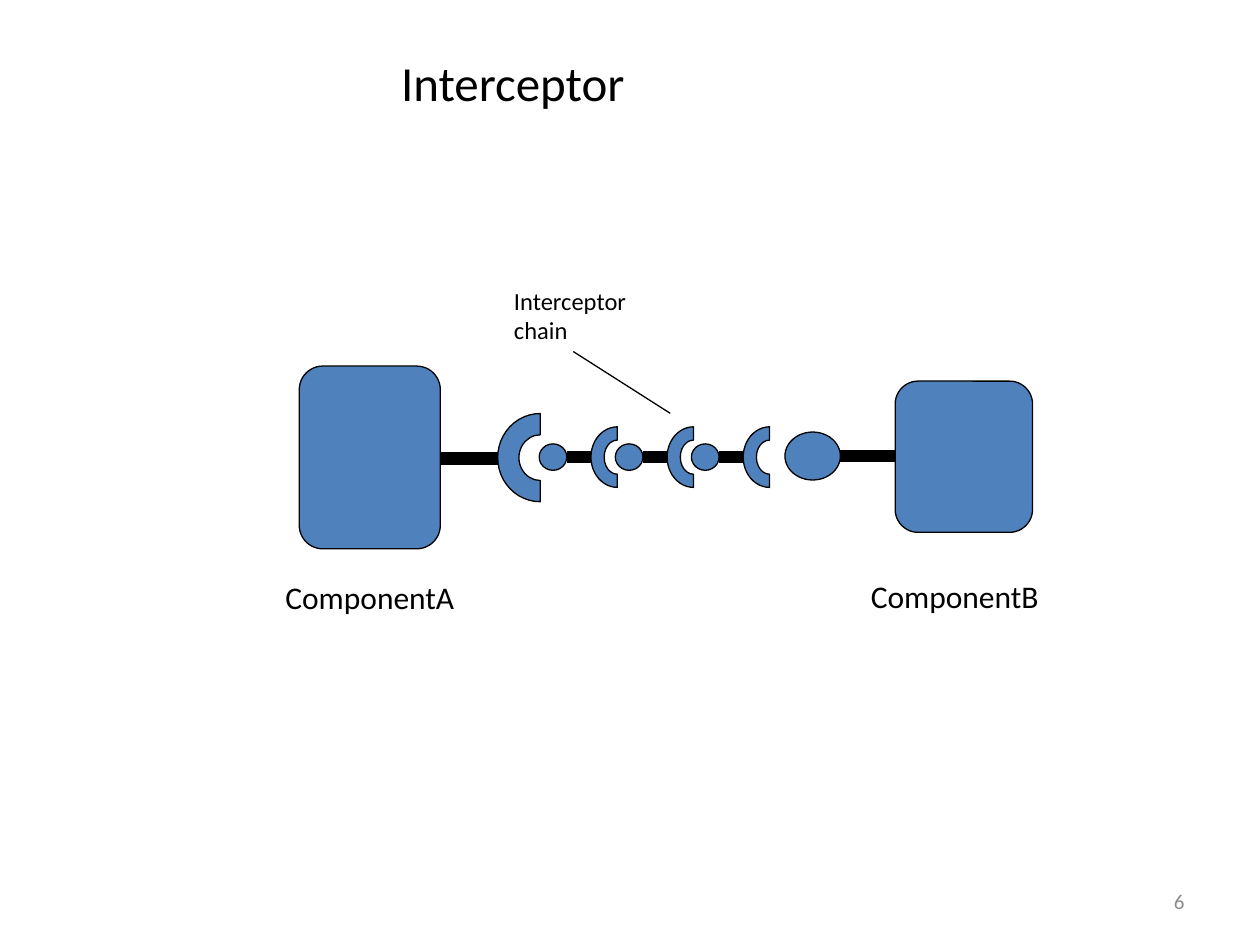
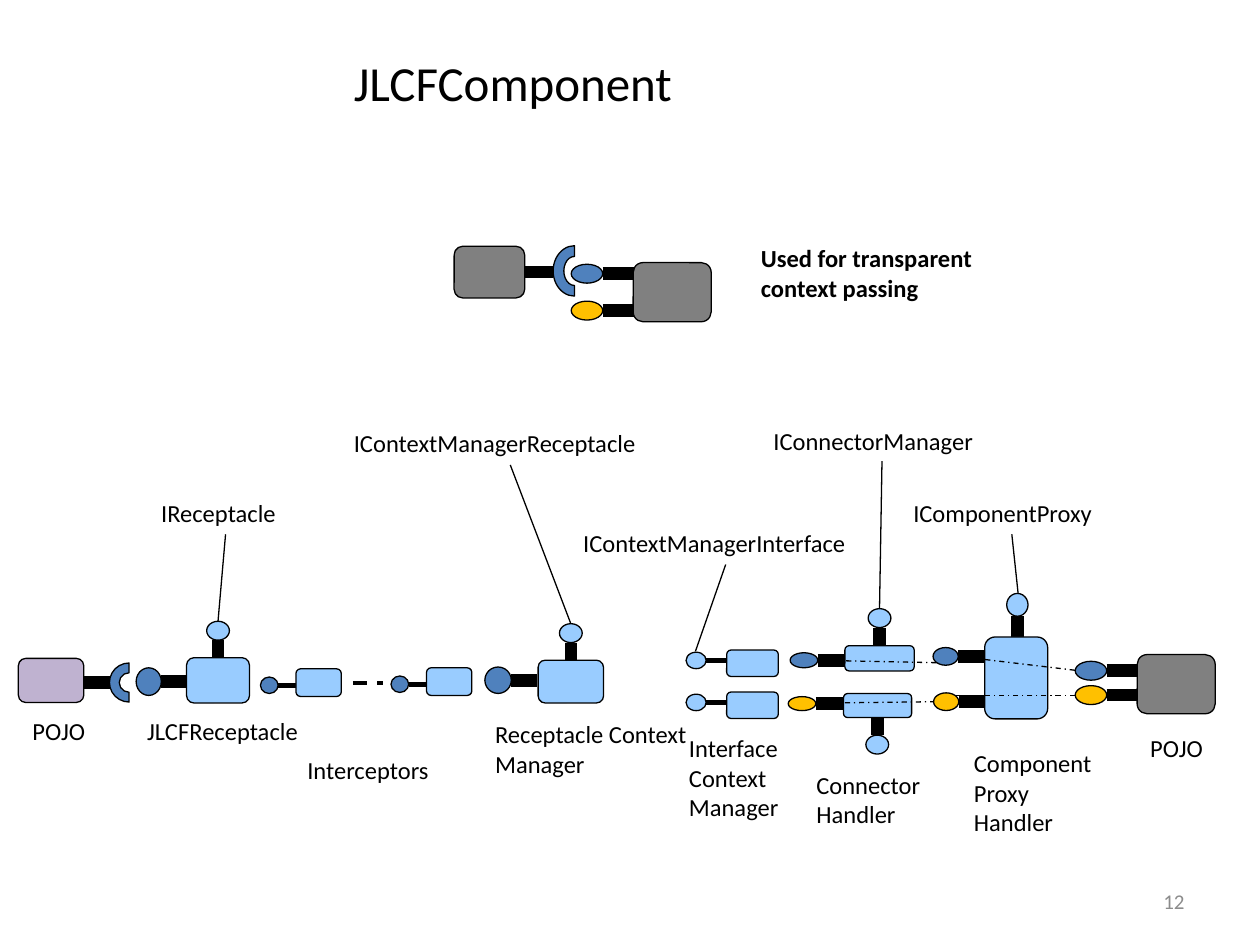
from dataclasses import dataclass

from lxml.etree import SubElement
from pptx import Presentation
from pptx.dml.color import RGBColor
from pptx.enum.dml import MSO_LINE
from pptx.enum.shapes import MSO_CONNECTOR, MSO_SHAPE
from pptx.enum.text import MSO_ANCHOR, PP_ALIGN
from pptx.oxml.ns import qn
from pptx.slide import Slide
from pptx.util import Pt

COLOURS = {
    "black": "000000",
    "blue": "4F81BD",
    "sky": "99CCFF",
    "grey": "808080",
    "lilac": "BFB2D0",
    "amber": "FFC000",
    "number": "8C8C8C",
}
FONT = "Calibri"
OUTLINE = 0.74
ROD = 7.2
THIN = 0.75


@dataclass(frozen=True)
class Box:
    x: float
    y: float
    width: float
    height: float
    colour: str = "sky"


@dataclass(frozen=True)
class Plug:
    x: float
    y: float
    width: float
    height: float
    rod: float
    colour: str = "blue"
    weight: float = ROD
    upright: bool = False


@dataclass(frozen=True)
class Cup:
    left: float
    y: float
    depth: float
    height: float


@dataclass(frozen=True)
class Link:
    x1: float
    y1: float
    x2: float
    y2: float
    weight: float = THIN
    dash: MSO_LINE | None = None


@dataclass(frozen=True)
class Label:
    left: float
    top: float
    width: float
    text: str
    size: float = 14
    bold: bool = False
    colour: str = "black"
    align: PP_ALIGN = PP_ALIGN.LEFT


def rgb(name: str) -> RGBColor:
    return RGBColor.from_string(COLOURS[name])


def write(frame, label: Label) -> None:
    for index, content in enumerate(label.text.split("\n")):
        paragraph = frame.paragraphs[0] if index == 0 else frame.add_paragraph()
        paragraph.alignment = label.align
        for row, words in enumerate(content.split("\v")):
            if row:
                paragraph.add_line_break()
            run = paragraph.add_run()
            run.text = words
            run.font.name = FONT
            run.font.size = Pt(label.size)
            run.font.bold = label.bold
            run.font.color.rgb = rgb(label.colour)


def draw_label(slide: Slide, label: Label) -> None:
    rows = 1 + label.text.count("\n") + label.text.count("\v")
    height = rows * label.size * 1.2 + 7.2
    frame = slide.shapes.add_textbox(
        Pt(label.left), Pt(label.top), Pt(label.width), Pt(height)
    ).text_frame
    frame.word_wrap = True
    write(frame, label)


def draw_outline(slide: Slide, kind: MSO_SHAPE, box: Box):
    shape = slide.shapes.add_shape(
        kind,
        Pt(box.x - box.width / 2),
        Pt(box.y - box.height / 2),
        Pt(box.width),
        Pt(box.height),
    )
    shape.shadow.inherit = False
    shape.fill.solid()
    shape.fill.fore_color.rgb = rgb(box.colour)
    shape.line.color.rgb = rgb("black")
    shape.line.width = Pt(OUTLINE)
    return shape


def draw_link(slide: Slide, link: Link) -> None:
    connector = slide.shapes.add_connector(
        MSO_CONNECTOR.STRAIGHT, Pt(link.x1), Pt(link.y1), Pt(link.x2), Pt(link.y2)
    )
    connector.line.color.rgb = rgb("black")
    connector.line.width = Pt(link.weight)
    if link.dash is not None:
        connector.line.dash_style = link.dash
    SubElement(connector._element.spPr, qn("a:effectLst"))


def draw_plug(slide: Slide, plug: Plug) -> None:
    direction = 1 if plug.rod > 0 else -1
    if plug.upright:
        edge = plug.y + direction * plug.height / 2
        rod = Link(plug.x, edge, plug.x, edge + plug.rod, plug.weight)
    else:
        edge = plug.x + direction * plug.width / 2
        rod = Link(edge, plug.y, edge + plug.rod, plug.y, plug.weight)
    draw_link(slide, rod)
    ball = Box(plug.x, plug.y, plug.width, plug.height, plug.colour)
    draw_outline(slide, MSO_SHAPE.OVAL, ball)


def draw_cup(slide: Slide, cup: Cup) -> None:
    ring = Box(cup.left + cup.depth, cup.y, cup.height, 2 * cup.depth, "blue")
    draw_outline(slide, MSO_SHAPE.BLOCK_ARC, ring).rotation = 270


def draw(slide: Slide, parts: list) -> None:
    for part in parts:
        match part:
            case Box():
                draw_outline(slide, MSO_SHAPE.ROUNDED_RECTANGLE, part)
            case Plug():
                draw_plug(slide, part)
            case Cup():
                draw_cup(slide, part)
            case Link():
                draw_link(slide, part)
            case Label():
                draw_label(slide, part)


def start_slide(deck, heading: str, number: str) -> Slide:
    slide = deck.slides.add_slide(deck.slide_layouts[5])
    title = slide.shapes.title
    title.left, title.top, title.width, title.height = Pt(49), Pt(9.4), Pt(488), Pt(75)
    title.text_frame.vertical_anchor = MSO_ANCHOR.MIDDLE
    write(title.text_frame, Label(0, 0, 0, heading, 28, align=PP_ALIGN.CENTER))
    draw_label(
        slide,
        Label(516, 504, 168, number, 12, colour="number", align=PP_ALIGN.RIGHT),
    )
    return slide


def interceptor_chain() -> list:
    parts = []
    for place in range(3):
        shift = place * 43.5
        parts += [
            Plug(316 + shift, 261.2, 15.8, 15.1, 15.5),
            Cup(337.7 + shift, 261.2, 15.1, 34.6),
        ]
    return parts


def interceptor(x: float, y: float) -> list:
    return [
        Plug(x, y, 10.1, 9.4, 10.4, weight=3),
        Box(x + 28.2, y - 1.5, 25.9, 15.8),
    ]


def context_manager(y: float) -> list:
    return [
        Plug(397.8, y, 11.5, 9.4, 11.5, "sky", 2.75),
        Box(430, y + 1.6, 29.5, 15.1),
    ]


def provider(x: float, y: float, blue_y: float, amber_y: float) -> list:
    return [
        Plug(x - 48.7, amber_y, 18, 10.8, 18, "amber"),
        Plug(x - 48.7, blue_y, 18, 10.8, 18),
        Box(x, y, 44.6, 33.8, "grey"),
    ]


def control(x: float, y: float, rod: float = 10.1) -> Plug:
    return Plug(x, y, 13, 10.8, rod, "sky", upright=True)


deck = Presentation()
deck.slide_width, deck.slide_height = Pt(720), Pt(540)

draw(
    start_slide(deck, "Interceptor", "6"),
    [
        Plug(464.4, 260.6, 31.7, 27.4, 31),
        Box(550.8, 261, 78.5, 86.4, "blue"),
        Link(252, 262.1, 284.4, 262.1, ROD),
        Box(211.3, 261.4, 80.6, 104.4, "blue"),
        Cup(284.4, 261.5, 24.3, 50.4),
        *interceptor_chain(),
        Link(383, 236.2, 327.6, 200.9),
        Label(156, 326.9, 120, "ComponentA", 18),
        Label(490.5, 326.2, 120, "ComponentB", 18),
        Label(286.6, 159.8, 82, "Interceptor\nchain"),
    ],
)

usage = [
    Link(300.2, 155.5, 316.1, 155.5, ROD),
    Box(279.7, 155.5, 40.3, 29.5, "grey"),
    Cup(316.1, 154.8, 12.2, 28.8),
    *provider(384.1, 167, 156.4, 177.5),
    Label(427.7, 135.4, 153.4, "Used for transparent\vcontext passing", bold=True),
]
receptacle_side = [
    Link(47.5, 390, 62.6, 390, ROD),
    Box(29.2, 388.8, 37.4, 25.2, "lilac"),
    Cup(62.6, 390, 11.2, 22.3),
    Plug(85, 389.5, 14.4, 15.8, 14.4),
    control(124.6, 360.4),
    Box(124.6, 388.8, 36, 25.9),
    *interceptor(153.9, 391.6),
    Link(201.6, 390.2, 218.9, 390.2, 2, MSO_LINE.DASH),
    *interceptor(228.5, 391),
    Plug(284.6, 388.7, 15.1, 15.1, 14.6),
    control(326.2, 361.8),
    Box(326.2, 389.5, 37.4, 24.5),
]
interface_side = [
    *context_manager(377.4),
    *context_manager(401.4),
    Plug(459.4, 377.3, 15.8, 8.6, 15.8),
    control(502.6, 353.2),
    Box(502.6, 376.2, 39.6, 14.4),
    Plug(458.3, 402.1, 15.8, 8, 15.5, "amber"),
    control(501.3, 425.5, -10.1),
    Box(501.5, 403.2, 38.9, 13.7),
    Plug(540.4, 375.1, 14.4, 10.1, 14.6),
    Plug(540.7, 401, 14.4, 10.1, 14.4, "amber"),
    Plug(581.4, 345.6, 12.2, 13, 12.2, "sky", upright=True),
    Box(580.7, 387.4, 36, 46.8),
    *provider(672.1, 391, 383.3, 397.2),
]
passages = [
    Link(x1, y1, x2, y2, THIN, MSO_LINE.DASH_DOT)
    for x1, y1, x2, y2 in (
        (614.2, 397.4, 545.8, 397.4),
        (614.2, 383, 547.9, 375.1),
        (467.3, 377.3, 535, 378.7),
        (466.6, 401.8, 533.5, 401),
    )
]
callouts = [
    Link(124.6, 355, 128.9, 305.3),
    Link(326.2, 356.4, 291.6, 265.7),
    Link(397.4, 372.2, 414.7, 322.6),
    Link(502.6, 347.8, 504, 263.5),
    Link(581.8, 339.1, 578.2, 305.3),
    Label(85, 280.8, 89.3, "IReceptacle"),
    Label(195.1, 241.2, 193, "IContextManagerReceptacle"),
    Label(326.2, 298.1, 177.1, "IContextManagerInterface"),
    Label(434.9, 239.8, 139, "IConnectorManager"),
    Label(514.8, 280.8, 127.4, "IComponentProxy"),
]
names = [
    Label(11.5, 405.4, 53.3, "POJO"),
    Label(77, 405.4, 128.2, "JLCFReceptacle"),
    Label(168.5, 427.7, 128.2, "Interceptors"),
    Label(275.8, 407.5, 128.2, "Receptacle Context\vManager"),
    Label(386.6, 415.4, 128.2, "Interface\vContext\vManager"),
    Label(459.4, 436.3, 128.2, "Connector\vHandler"),
    Label(549.4, 424.1, 128.2, "Component\vProxy\nHandler"),
    Label(650.2, 415.4, 53.3, "POJO"),
]
draw(
    start_slide(deck, "JLCFComponent", "12"),
    usage + receptacle_side + interface_side + passages + callouts + names,
)

deck.save("out.pptx")
